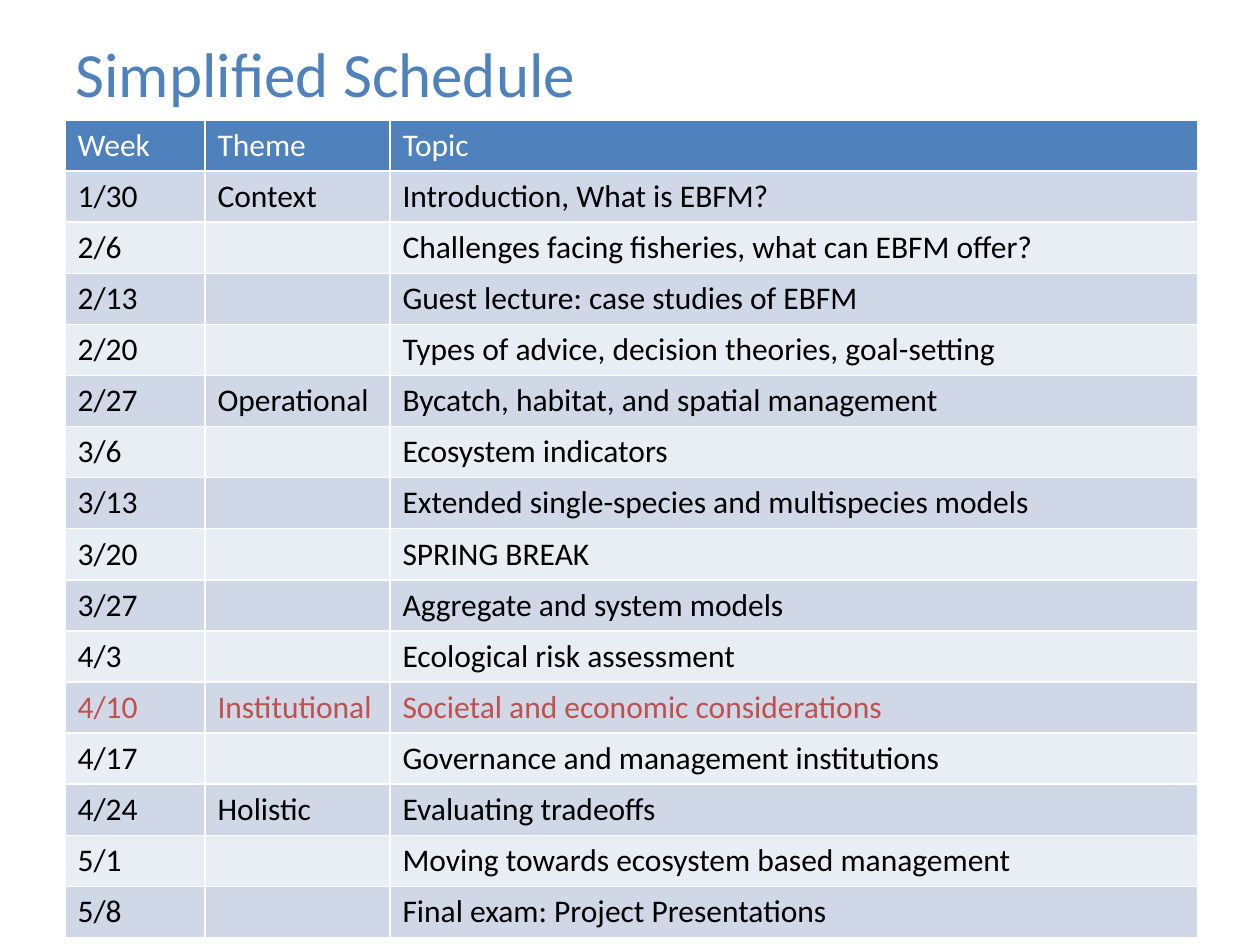
from pptx import Presentation
from pptx import util as u
from pptx.dml.color import RGBColor
from pptx.enum import text

PX = 914400 / 126
COLORS = {
    "blue": "4F81BD",
    "white": "FFFFFF",
    "black": "000000",
    "red": "C0504D",
    "band_dark": "D0D8E8",
    "band_light": "E9EDF4",
}
CURRENT_WEEK = "4/10"
SCHEDULE = [
    ("Week", "Theme", "Topic"),
    ("1/30", "Context", "Introduction, What is EBFM?"),
    ("2/6", "", "Challenges facing fisheries, what can EBFM offer?"),
    ("2/13", "", "Guest lecture: case studies of EBFM"),
    ("2/20", "", "Types of advice, decision theories, goal-setting"),
    ("2/27", "Operational", "Bycatch, habitat, and spatial management"),
    ("3/6", "", "Ecosystem indicators"),
    ("3/13", "", "Extended single-species and multispecies models"),
    ("3/20", "", "SPRING BREAK"),
    ("3/27", "", "Aggregate and system models"),
    ("4/3", "", "Ecological risk assessment"),
    ("4/10", "Institutional", "Societal and economic considerations"),
    ("4/17", "", "Governance and management institutions"),
    ("4/24", "Holistic", "Evaluating tradeoffs"),
    ("5/1", "", "Moving towards ecosystem based management"),
    ("5/8", "", "Final exam: Project Presentations"),
]
COLUMN_WIDTHS = [140, 185, 808]
ROW_HEIGHT = 51


def px(length):
    return u.Emu(round(length * PX))


def write(frame, words, size=18, color="black"):
    paragraph = frame.paragraphs[0]
    paragraph.alignment = text.PP_ALIGN.LEFT
    paragraph.font.size = u.Pt(size)
    if words:
        run = paragraph.add_run()
        run.text = words
        run.font.name = "Calibri"
        run.font.size = u.Pt(size)
        run.font.bold = False
        run.font.color.rgb = RGBColor.from_string(COLORS[color])


prs = Presentation()
prs.slide_width, prs.slide_height = px(1260), px(945)
slide = prs.slides.add_slide(prs.slide_layouts[5])

title = slide.shapes.title
title.left, title.top, title.width, title.height = px(63), px(25), px(1134), px(95)
title.text_frame.vertical_anchor = text.MSO_ANCHOR.MIDDLE
write(title.text_frame, "Simplified Schedule", size=36, color="blue")

schedule = slide.shapes.add_table(
    len(SCHEDULE), len(COLUMN_WIDTHS), px(65), px(120),
    px(sum(COLUMN_WIDTHS)), px(ROW_HEIGHT * len(SCHEDULE)),
).table
for column, width in zip(schedule.columns, COLUMN_WIDTHS):
    column.width = px(width)

for index, entries in enumerate(SCHEDULE):
    schedule.rows[index].height = px(ROW_HEIGHT)
    if index == 0:
        fill, ink = "blue", "white"
    else:
        fill = "band_dark" if index % 2 else "band_light"
        ink = "red" if entries[0] == CURRENT_WEEK else "black"
    for cell, words in zip(schedule.rows[index].cells, entries):
        cell.fill.solid()
        cell.fill.fore_color.rgb = RGBColor.from_string(COLORS[fill])
        write(cell.text_frame, words, color=ink)

prs.save("out.pptx")
